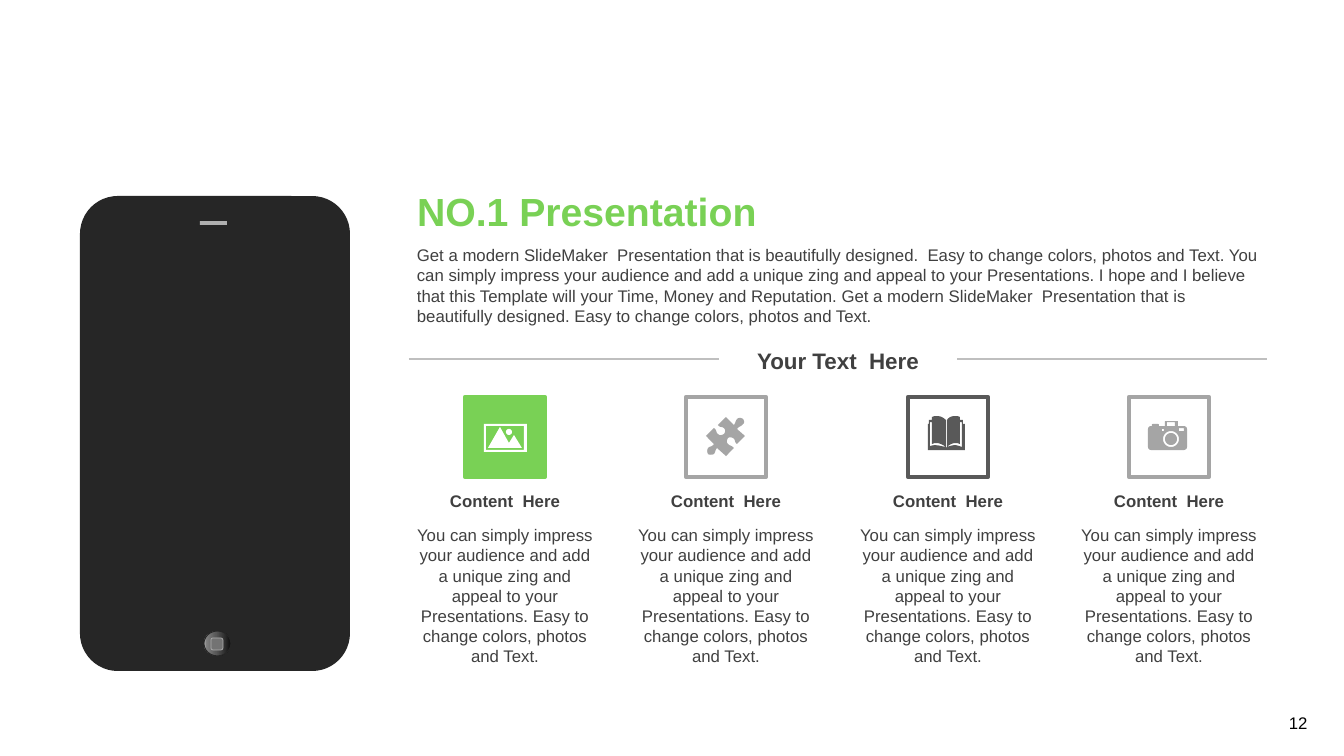
import math

from lxml import etree
from pptx import Presentation
from pptx import util as u
from pptx.dml.color import RGBColor
from pptx.enum import shapes, text
from pptx.oxml.ns import qn

EMU_PER_PX = 914400 / 100.8
FONT = "Arial"

GREEN = RGBColor(0x79, 0xD1, 0x55)
WHITE = RGBColor(0xFF, 0xFF, 0xFF)
BLACK = RGBColor(0x00, 0x00, 0x00)
INK = RGBColor(0x40, 0x40, 0x40)
GREY = RGBColor(0xA5, 0xA5, 0xA5)
DARK_GREY = RGBColor(0x59, 0x59, 0x59)
RULE_GREY = RGBColor(0xBF, 0xBF, 0xBF)
PHONE_BLACK = RGBColor(0x26, 0x26, 0x26)
SPEAKER_GREY = RGBColor(0xB0, 0xB0, 0xB0)
KEY_GREY = RGBColor(0x73, 0x73, 0x73)
BUTTON_STOPS = [(0, "0F0F0F"), (56, "595959"), (91, "808080"), (100, "BFBFBF")]

INTRO = (
    "Get a modern SlideMaker  Presentation that is beautifully designed.  "
    "Easy to change colors, photos and Text. You can simply impress your audience "
    "and add a unique zing and appeal to your Presentations. I hope and I believe "
    "that this Template will your Time, Money and Reputation. Get a modern "
    "SlideMaker  Presentation that is beautifully designed. "
    "Easy to change colors, photos and Text."
)
COLUMN_TEXT = (
    "You can simply impress your audience and add a unique zing and appeal to your "
    "Presentations. Easy to change colors, photos and Text."
)


def px(length):
    return u.Emu(round(length * EMU_PER_PX))


def frame(left, top, width, height):
    return px(left), px(top), px(width), px(height)


def box(left, top, right, bottom):
    return [(left, top), (right, top), (right, bottom), (left, bottom)]


def circle(x, y, radius, steps=32):
    turns = [2 * math.pi * i / steps for i in range(steps)]
    return [(x + radius * math.cos(a), y + radius * math.sin(a)) for a in turns]


# Icon outlines in px from the icon's corner; six numbers make a Bezier curve.
PHOTO = [
    box(0, 0, 43, 28),
    box(2, 2, 40, 26),
    [(16, 3), (25, 19), (30, 11), (38, 24), (4, 24)],
    circle(25, 8, 3),
]
PUZZLE = [[
    (37, 2), (38, 3, 39, 6, 37, 7), (35, 10, 33, 9, 31, 12), (39, 19), (31, 27),
    (28, 25, 30, 23, 27, 21), (25, 20, 23, 20, 22, 21), (21, 23, 20, 25, 22, 27),
    (24, 29, 25, 28, 28, 31), (20, 39), (11, 31), (9, 33, 10, 34, 8, 37),
    (6, 38, 3, 38, 2, 37), (1, 35, 1, 33, 2, 31), (4, 29, 6, 30, 8, 27), (0, 19),
    (8, 11), (11, 13, 10, 16, 12, 17), (14, 19, 16, 18, 18, 17),
    (19, 16, 20, 13, 18, 11), (15, 9, 14, 11, 12, 8), (20, 0), (28, 8),
    (30, 5, 29, 5, 31, 2), (33, 0, 36, 1, 37, 2),
]]
BOOK = [[
    (18, 31), (18, 31, 19, 32, 19, 31), (25, 29, 27, 28, 34, 31), (34, 6), (32, 6),
    (32, 28), (28, 26, 23, 27, 19, 31), (19, 4), (21, 1, 24, 0, 27, 0),
    (29, 0, 30, 0, 32, 1), (32, 4), (35, 4), (35, 8), (37, 8), (37, 34), (0, 34),
    (0, 8), (1, 8), (1, 4), (4, 4), (4, 1), (6, 0, 8, 0, 9, 0),
    (12, 0, 15, 1, 18, 4), (18, 31), (13, 27, 8, 26, 4, 28), (4, 6), (2, 6),
    (2, 30), (8, 28, 12, 30, 18, 31),
]]
CAMERA = [
    [
        (18, 0), (29, 0), (30, 0, 30, 0, 30, 1), (30, 5), (36, 5),
        (37, 5, 39, 6, 39, 8), (39, 26), (39, 28, 37, 29, 36, 29), (3, 29),
        (2, 29, 0, 28, 0, 26), (0, 8), (0, 6, 2, 5, 3, 5), (4, 5), (4, 4),
        (4, 3, 4, 3, 5, 3), (10, 3), (10, 3, 11, 3, 11, 4), (11, 5), (17, 5),
        (17, 1), (17, 0, 17, 0, 18, 0),
    ],
    circle(23, 18, 8), circle(23, 18, 6),
    box(14, 8, 16, 10), box(31, 7, 36, 10), box(19, 1, 27, 5),
]

# outline, icon offset from column centre, icon top, icon colour, tile fill, tile line
COLUMNS = [
    (PHOTO, -21, 424, WHITE, GREEN, GREEN),
    (PUZZLE, -20, 417, GREY, WHITE, GREY),
    (BOOK, -20, 416, DARK_GREY, WHITE, DARK_GREY),
    (CAMERA, -21, 421, GREY, WHITE, GREY),
]


def write(shape, words, size, color, bold=False, align=text.PP_ALIGN.LEFT,
          anchor=text.MSO_ANCHOR.TOP, wrap=True):
    body = shape.text_frame
    body.auto_size = text.MSO_AUTO_SIZE.NONE
    body.word_wrap = wrap
    body.vertical_anchor = anchor
    paragraph = body.paragraphs[0]
    paragraph.alignment = align
    run = paragraph.add_run()
    run.text = words
    run.font.name, run.font.size, run.font.bold = FONT, u.Pt(size), bold
    run.font.color.rgb = color


def add_text(slide, place, words, size, color, **style):
    write(slide.shapes.add_textbox(*frame(*place)), words, size, color, **style)


def style_outline(shape, fill, line=None, width=0):
    shape.shadow.inherit = False
    shape.fill.solid()
    shape.fill.fore_color.rgb = fill
    if line is None:
        shape.line.fill.background()
    else:
        shape.line.color.rgb = line
        shape.line.width = u.Pt(width)


def add_preset(slide, preset, place, fill, line=None, width=0):
    shape = slide.shapes.add_shape(preset, *frame(*place))
    style_outline(shape, fill, line, width)
    return shape


def flatten(contour):
    """Turn Bezier curves into short straight steps."""
    points = []
    for step in contour:
        if len(step) == 2:
            points.append(step)
            continue
        controls = [points[-1], step[:2], step[2:4], step[4:]]
        for t in (i / 6 for i in range(1, 7)):
            weights = [math.comb(3, k) * t**k * (1 - t) ** (3 - k) for k in range(4)]
            points.append(tuple(sum(w * c[axis] for w, c in zip(weights, controls))
                                for axis in (0, 1)))
    return points


def add_icon(slide, left, top, contours, color):
    builder = None
    for contour in contours:
        points = [(px(left + x), px(top + y)) for x, y in flatten(contour)]
        if builder is None:
            builder = slide.shapes.build_freeform(*points[0])
        else:
            builder.move_to(*points[0])
        builder.add_line_segments(points[1:], close=True)
    style_outline(builder.convert_to_shape(), color)


def shade(shape, stops):
    """Give a gradient that runs from right to left."""
    shape.fill.gradient()
    gradient = shape.fill._xPr.find(qn("a:gradFill"))
    stop_list = gradient.find(qn("a:gsLst"))
    stop_list.clear()
    for percent, color in stops:
        stop = etree.SubElement(stop_list, qn("a:gs"), pos=str(percent * 1000))
        etree.SubElement(stop, qn("a:srgbClr"), val=color)
    gradient.find(qn("a:lin")).set("ang", "10800000")


def add_phone(slide):
    preset = shapes.MSO_SHAPE
    case = add_preset(slide, preset.ROUNDED_RECTANGLE, (80, 196, 270, 475), PHONE_BLACK)
    case.adjustments[0] = 0.14
    add_preset(slide, preset.RECTANGLE, (200, 221, 27, 4), SPEAKER_GREY)
    button = add_preset(slide, preset.OVAL, (204, 631, 27, 25), PHONE_BLACK, PHONE_BLACK)
    shade(button, BUTTON_STOPS)
    add_preset(slide, preset.ROUNDED_RECTANGLE, (211, 638, 12, 12), KEY_GREY,
               SPEAKER_GREY, 0.5)


def add_heading_rule(slide):
    rule = slide.shapes.add_connector(shapes.MSO_CONNECTOR.STRAIGHT,
                                      px(409), px(359), px(1267), px(359))
    rule.line.color.rgb = RULE_GREY
    rule.line.width = u.Pt(2)
    etree.SubElement(rule._element.spPr, qn("a:effectLst"))
    heading = add_preset(slide, shapes.MSO_SHAPE.RECTANGLE, (719, 342, 238, 37), WHITE)
    write(heading, "Your Text  Here", 16, INK, bold=True,
          align=text.PP_ALIGN.CENTER, anchor=text.MSO_ANCHOR.MIDDLE)


def add_column(slide, center, outline, offset, icon_top, icon_color, fill, line):
    add_preset(slide, shapes.MSO_SHAPE.RECTANGLE, (center - 40, 397, 80, 80), fill, line, 3)
    add_icon(slide, center + offset, icon_top, outline, icon_color)
    middle = text.PP_ALIGN.CENTER
    add_text(slide, (center - 98, 486, 196, 30), "Content  Here", 12, INK,
             bold=True, align=middle)
    add_text(slide, (center - 98, 520, 196, 152), COLUMN_TEXT, 12, INK, align=middle)


def main():
    deck = Presentation()
    deck.slide_width, deck.slide_height = px(1344), px(756)
    slide = deck.slides.add_slide(deck.slide_layouts.get_by_name("Title Only"))
    add_phone(slide)
    title = slide.shapes.title
    title.left, title.top, title.width, title.height = frame(407, 182, 863, 58)
    write(title, "NO.1 Presentation", 28, GREEN, bold=True)
    add_text(slide, (407, 240, 863, 92), INTRO, 12, INK)
    add_heading_rule(slide)
    for index, column in enumerate(COLUMNS):
        add_column(slide, 505 + index * 443 // 2, *column)
    add_text(slide, (1279, 708, 41, 30), "12", 12, BLACK, wrap=False)
    deck.save("out.pptx")


if __name__ == "__main__":
    main()
